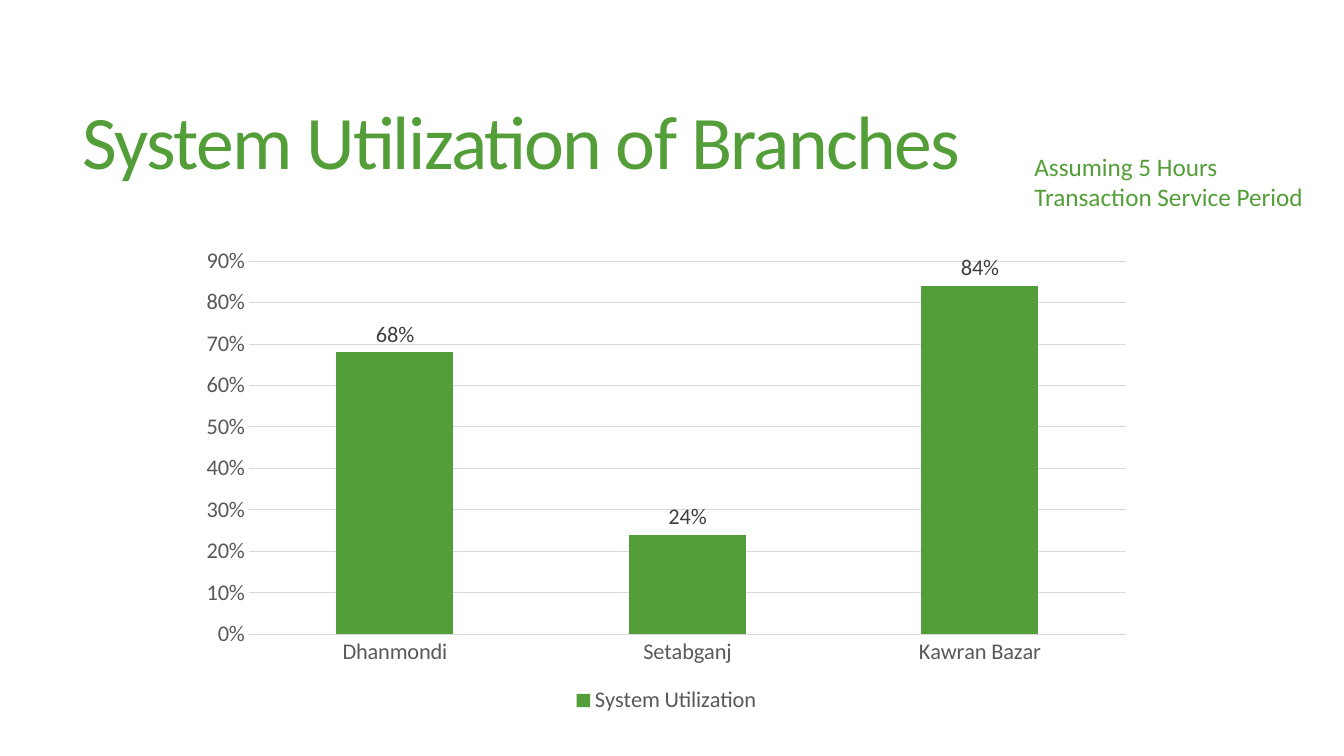
import dataclasses

import pptx
import pptx.chart.data
import pptx.dml.color
import pptx.enum.chart
import pptx.enum.text
import pptx.util


@dataclasses.dataclass(frozen=True)
class Theme:
    font: str = "Calibri"
    green: str = "549E39"
    axis_text: str = "595959"
    label_text: str = "404040"
    rule: str = "D9D9D9"
    title_size: int = 54
    note_size: int = 18
    chart_size: int = 16
    rule_width: float = 0.75


theme = Theme()


def format_font(font, size, color):
    font.name = theme.font
    font.size = pptx.util.Pt(size)
    font.bold = False
    font.color.rgb = pptx.dml.color.RGBColor.from_string(color)


def write_text(shape, text, *, size, color, anchor, line_spacing=1.0, tracking=0):
    frame = shape.text_frame
    frame.word_wrap = True
    frame.vertical_anchor = anchor
    paragraph = frame.paragraphs[0]
    paragraph.alignment = pptx.enum.text.PP_ALIGN.LEFT
    paragraph.line_spacing = line_spacing
    run = paragraph.add_run()
    run.text = text
    format_font(run.font, size, color)
    if tracking:
        run.font._element.set("spc", str(round(tracking * 100)))


# Slide
presentation = pptx.Presentation()
presentation.slide_width = pptx.util.Inches(13.33)
presentation.slide_height = pptx.util.Inches(7.5)
slide = presentation.slides.add_slide(presentation.slide_layouts.get_by_name("Title Only"))

# Lengths as percentages of the slide: left, top, width, height
areas = {
    name: [
        round(share / 100 * length)
        for share, length in zip(
            shares, (presentation.slide_width, presentation.slide_height) * 2
        )
    ]
    for name, shares in {
        "title": (5.4, 7.33, 88.37, 24.13),
        "chart": (13.95, 31.47, 71.27, 63.6),
        "note": (76.22, 19.33, 23.78, 9.47),
    }.items()
}

# Title
title = slide.shapes.title
title.left, title.top, title.width, title.height = areas["title"]
write_text(
    title,
    "System Utilization of Branches",
    size=theme.title_size,
    color=theme.green,
    anchor=pptx.enum.text.MSO_ANCHOR.MIDDLE,
    line_spacing=0.85,
    tracking=-1.2,
)

# Utilization chart
chart_data = pptx.chart.data.CategoryChartData(number_format="0%")
chart_data.categories = ["Dhanmondi", "Setabganj", "Kawran Bazar"]
chart_data.add_series("System Utilization", [0.68, 0.24, 0.84])
chart = slide.shapes.add_chart(
    pptx.enum.chart.XL_CHART_TYPE.COLUMN_CLUSTERED, *areas["chart"], chart_data
).chart
chart.has_title = False
format_font(chart.font, theme.chart_size, theme.axis_text)

# Columns and their labels
plot = chart.plots[0]
plot.gap_width = 150
plot.vary_by_categories = False
columns = plot.series[0]
columns.invert_if_negative = False
columns.format.fill.solid()
columns.format.fill.fore_color.rgb = pptx.dml.color.RGBColor.from_string(theme.green)
labels = columns.data_labels
labels.show_value = True
labels.number_format = "0%"
labels.number_format_is_linked = False
labels.position = pptx.enum.chart.XL_LABEL_POSITION.OUTSIDE_END
format_font(labels.font, theme.chart_size, theme.label_text)

# Axes and gridlines
category_axis, value_axis = chart.category_axis, chart.value_axis
for axis in (category_axis, value_axis):
    axis.major_tick_mark = pptx.enum.chart.XL_TICK_MARK.NONE
    axis.minor_tick_mark = pptx.enum.chart.XL_TICK_MARK.NONE
    format_font(axis.tick_labels.font, theme.chart_size, theme.axis_text)
value_axis.minimum_scale, value_axis.maximum_scale = 0, 0.9
value_axis.major_unit = 0.1
value_axis.tick_labels.number_format = "0%"
value_axis.tick_labels.number_format_is_linked = False
value_axis.format.line.fill.background()
for line in (category_axis.format.line, value_axis.major_gridlines.format.line):
    line.color.rgb = pptx.dml.color.RGBColor.from_string(theme.rule)
    line.width = pptx.util.Pt(theme.rule_width)

# Legend
chart.has_legend = True
chart.legend.position = pptx.enum.chart.XL_LEGEND_POSITION.BOTTOM
chart.legend.include_in_layout = False
format_font(chart.legend.font, theme.chart_size, theme.axis_text)

# Service period note
note = slide.shapes.add_textbox(*areas["note"])
write_text(
    note,
    "Assuming 5 Hours Transaction Service Period",
    size=theme.note_size,
    color=theme.green,
    anchor=pptx.enum.text.MSO_ANCHOR.TOP,
)
note.text_frame.auto_size = pptx.enum.text.MSO_AUTO_SIZE.SHAPE_TO_FIT_TEXT

presentation.save("out.pptx")
